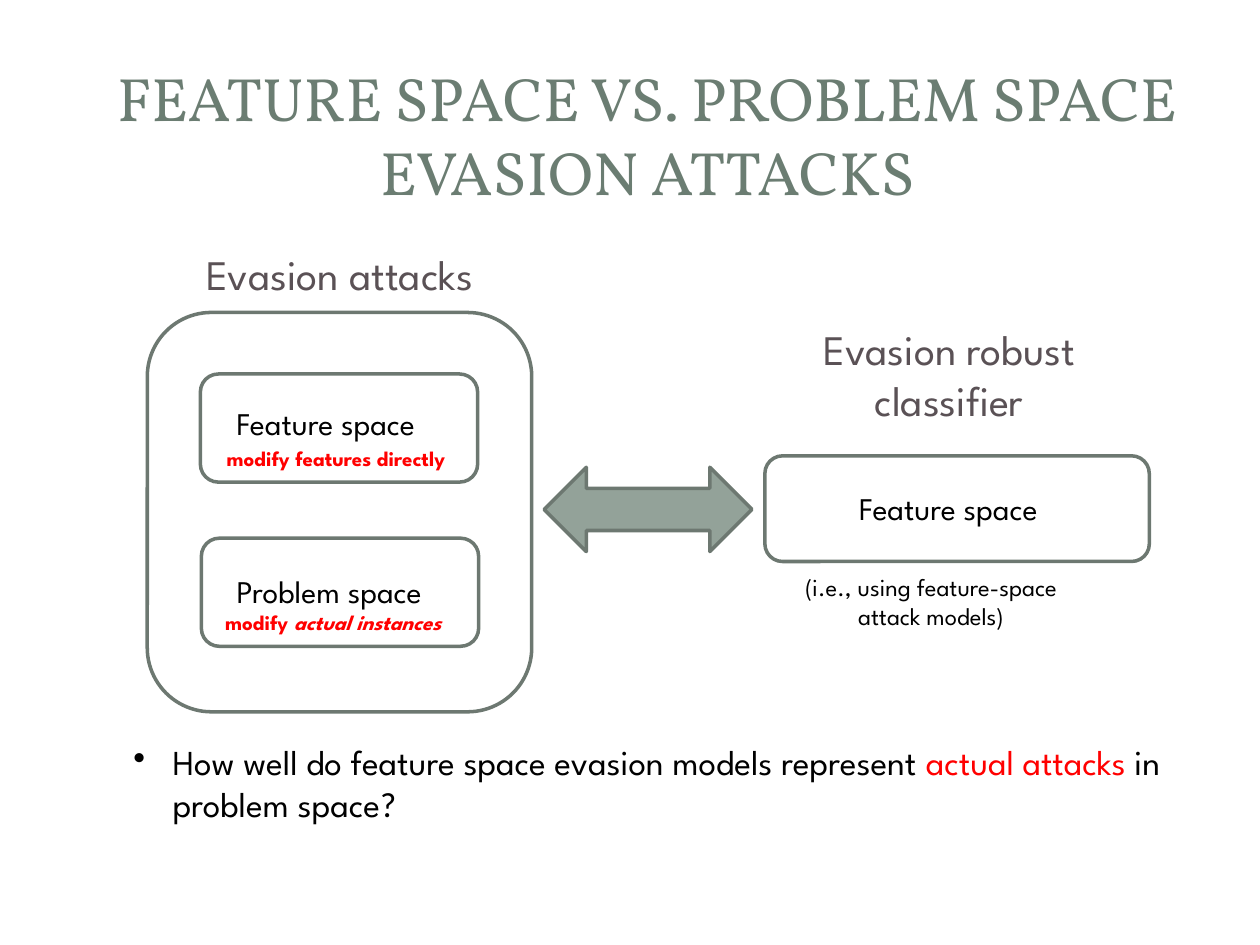
"""Build a slide comparing feature space and problem space evasion attacks."""
from typing import NamedTuple

from lxml.etree import SubElement
from pptx import Presentation
from pptx.dml.color import RGBColor
from pptx.enum.shapes import MSO_SHAPE
from pptx.enum.text import MSO_ANCHOR, MSO_AUTO_SIZE, PP_ALIGN
from pptx.oxml.ns import qn
from pptx.slide import Slide
from pptx.util import Cm, Pt

SAGE = RGBColor(0x6B, 0x7D, 0x72)
EDGE = RGBColor(0x6D, 0x78, 0x71)
PALE = RGBColor(0x93, 0xA2, 0x99)
GREY = RGBColor(0x5A, 0x51, 0x55)
BLACK = RGBColor(0, 0, 0)
RED = RGBColor(0xFF, 0, 0)
HEAD_FONT = "Vollkorn"
BODY_FONT = "League Spartan"
LEFT, MID = PP_ALIGN.LEFT, PP_ALIGN.CENTER
ROUND, ARROW = MSO_SHAPE.ROUNDED_RECTANGLE, MSO_SHAPE.LEFT_RIGHT_ARROW


class Area(NamedTuple):
    left: float
    top: float
    width: float
    height: float

    def cm(self) -> list[Cm]:
        return [Cm(size) for size in self]


class Box(NamedTuple):
    area: Area
    kind: MSO_SHAPE = ROUND
    fill: RGBColor | None = None


class Run(NamedTuple):
    text: str
    color: RGBColor | None = None
    italic: bool | None = None
    font: str | None = None


class Line(NamedTuple):
    runs: list[Run]
    align: PP_ALIGN = LEFT


class Label(NamedTuple):
    area: Area
    lines: list[Line]
    size: int
    color: RGBColor = BLACK
    bold: bool = False
    wrap: bool = False
    bullet: bool = False


BOXES = [
    Box(Area(2.97, 6.3, 7.75, 8.05)),
    Box(Area(4.04, 7.54, 5.59, 2.18)),
    Box(Area(4.06, 10.85, 5.59, 2.18)),
    Box(Area(15.42, 9.19, 7.75, 2.13)),
    Box(Area(10.97, 9.42, 4.19, 1.7), ARROW, PALE),
]
LABELS = [
    Label(Area(2.97, 4.88, 7.75, 1.27), [Line([Run("Evasion attacks")], MID)],
          24, GREY, wrap=True),
    Label(Area(15.67, 6.4, 6.93, 2.31), [Line([Run("Evasion robust classifier")], MID)],
          24, GREY, wrap=True),
    Label(Area(17.07, 9.73, 5.03, 1.02), [Line([Run("Feature space")])], 18),
    Label(Area(4.52, 11.4, 5.21, 1.02), [Line([Run("Problem space")])], 18),
    Label(Area(4.52, 8.03, 5.03, 1.02), [Line([Run("Feature space")])], 18),
    Label(Area(2.44, 14.81, 22.5, 1.96), [Line([
        Run("How well do feature space evasion models represent "),
        Run("actual attacks ", RED),
        Run("in problem space"),
        Run("?", font="Calibri"),
    ])], 20, wrap=True, bullet=True),
    Label(Area(4.32, 8.86, 5.36, 0.76), [Line([Run("modify features directly")])],
          12, RED, bold=True),
    Label(Area(4.29, 12.17, 5.44, 0.76),
          [Line([Run("modify "), Run("actual instances", italic=True)])],
          12, RED, bold=True),
    Label(Area(15.98, 11.4, 6.63, 1.45), [
        Line([Run("(i.e., using feature-space")]),
        Line([Run("attack models)")], MID),
    ], 14),
]


def add_title(slide: Slide, text: str) -> None:
    title = slide.shapes.title
    title.left, title.top, title.width, title.height = Area(1.19, 0.84, 23.72, 3.73).cm()
    frame = title.text_frame
    frame.text = text
    frame.word_wrap = True
    frame.auto_size = MSO_AUTO_SIZE.NONE
    frame.vertical_anchor = MSO_ANCHOR.MIDDLE
    para = frame.paragraphs[0]
    para.alignment = MID
    para.font.name = HEAD_FONT
    para.font.size = Pt(35)
    para.font.color.rgb = SAGE


def add_box(slide: Slide, box: Box) -> None:
    shape = slide.shapes.add_shape(box.kind, *box.area.cm())
    shape.shadow.inherit = False
    shape.line.color.rgb = EDGE
    shape.line.width = Pt(2)
    if box.fill is None:
        shape.fill.background()
    else:
        shape.fill.solid()
        shape.fill.fore_color.rgb = box.fill


def add_label(slide: Slide, label: Label) -> None:
    frame = slide.shapes.add_textbox(*label.area.cm()).text_frame
    frame.word_wrap = label.wrap
    frame.auto_size = MSO_AUTO_SIZE.SHAPE_TO_FIT_TEXT
    for index, line in enumerate(label.lines):
        para = frame.add_paragraph() if index else frame.paragraphs[0]
        para.alignment = line.align
        para.font.name = BODY_FONT
        para.font.size = Pt(label.size)
        para.font.bold = label.bold
        para.font.color.rgb = label.color
        for part in line.runs:
            run = para.add_run()
            run.text = part.text
            run.font.italic = part.italic
            if part.font:
                run.font.name = part.font
            if part.color is not None:
                run.font.color.rgb = part.color
        if label.bullet:
            add_bullet(para)


def add_bullet(para) -> None:
    props = para._p.get_or_add_pPr()
    props.set("marL", str(Cm(0.79)))
    props.set("indent", str(Cm(-0.79)))
    mark = SubElement(props, qn("a:buChar"))
    mark.set("char", "•")
    props.insert(0, mark)


def main() -> None:
    deck = Presentation()
    deck.slide_width, deck.slide_height = Cm(25.4), Cm(19.05)
    slide = deck.slides.add_slide(deck.slide_layouts[5])
    add_title(slide, "FEATURE SPACE VS. PROBLEM SPACE EVASION ATTACKS")
    for box in BOXES:
        add_box(slide, box)
    for label in LABELS:
        add_label(slide, label)
    deck.save("out.pptx")


if __name__ == "__main__":
    main()
